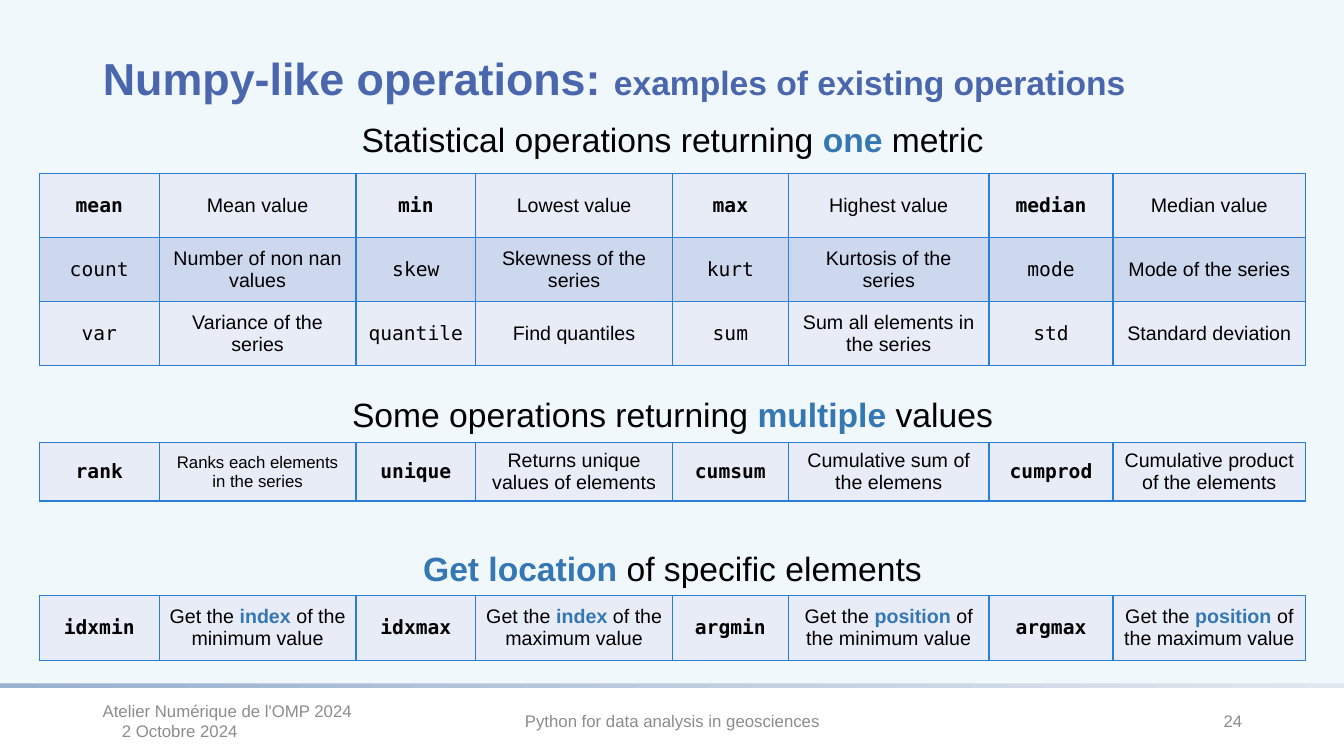
from pptx import Presentation
from pptx.dml.color import RGBColor
from pptx.enum.shapes import MSO_SHAPE
from pptx.enum.text import MSO_ANCHOR, PP_ALIGN
from pptx.oxml import parse_xml
from pptx.oxml.ns import nsdecls
from pptx.util import Inches, Pt

RECT = MSO_SHAPE.RECTANGLE
TOP, MIDDLE = MSO_ANCHOR.TOP, MSO_ANCHOR.MIDDLE
LEFT, CENTER, RIGHT = PP_ALIGN.LEFT, PP_ALIGN.CENTER, PP_ALIGN.RIGHT

COLORS = {
    "sky": "F1F8FC", "title": "4A66AC", "accent": "3477B2", "text": "000000",
    "muted": "8C8C8C", "border": "297FD5", "light": "E8ECF7", "dark": "CDD8EF",
    "start": "99B0CF", "end": "E1E7EF",
}
SANS, MONO = "Arial", "DejaVu Sans Mono"
WIDTH, HEIGHT = 13.33, 7.5
MARGIN, SPAN = 0.39, 12.56
COLS = [1.19, 1.95, 1.19, 1.95, 1.15, 1.99, 1.23, 1.91]
HEAD = 0.45
MARK = {"color": "accent", "bold": True}

STATS = [
    ["mean", "Mean value", "min", "Lowest value",
     "max", "Highest value", "median", "Median value"],
    ["count", "Number of non nan values", "skew", "Skewness of the series",
     "kurt", "Kurtosis of the series", "mode", "Mode of the series"],
    ["var", "Variance of the series", "quantile", "Find quantiles",
     "sum", "Sum all elements in the series", "std", "Standard deviation"],
]
MULTI = [
    ["rank", "Ranks each elements in the series",
     "unique", "Returns unique values of elements",
     "cumsum", "Cumulative sum of the elemens",
     "cumprod", "Cumulative product of the elements"],
]
PLACES = [
    ["idxmin", "Get the *index* of the minimum value",
     "idxmax", "Get the *index* of the maximum value",
     "argmin", "Get the *position* of the minimum value",
     "argmax", "Get the *position* of the maximum value"],
]
SMALL = {"Ranks each elements in the series": 12}


def rgb(name):
    """Return the named colour."""
    return RGBColor.from_string(COLORS[name])


def box(left, top, width, height):
    """Return a box in inches as lengths."""
    return [Inches(v) for v in (left, top, width, height)]


def style(font, size=14, face=SANS, color="text", bold=False):
    """Format one font."""
    font.size, font.name, font.bold = Pt(size), face, bold
    font.color.rgb = rgb(color)


def write(frame, text, align=CENTER, anchor=MIDDLE, lines=None, before=None,
          mark=MARK, indent=0, **look):
    """Fill a frame, giving parts between asterisks the mark format."""
    frame.word_wrap = True
    frame.vertical_anchor = anchor
    for row, line in enumerate(text.split("\n")):
        para = frame.add_paragraph() if row else frame.paragraphs[0]
        para.alignment, para.line_spacing = align, lines
        if before:
            para.space_before = Pt(before)
        if row and indent:
            para._p.get_or_add_pPr().set("marL", str(Inches(indent)))
        for spot, part in enumerate(line.split("*")):
            if part:
                run = para.add_run()
                run.text = part
                style(run.font, **(look | mark if spot % 2 else look))


def label(slide, area, text, **look):
    """Place a text box."""
    write(slide.shapes.add_textbox(*box(*area)).text_frame, text, **look)


def band(slide, area):
    """Place a borderless rectangle and return it."""
    shape = slide.shapes.add_shape(RECT, *box(*area))
    shape.shadow.inherit = False
    shape.line.fill.background()
    return shape


def backdrop(slide, area):
    """Draw the pale page and the gradient rule below it."""
    left, top, width, height = area
    rule = band(slide, (left, top + height, width, 0.05)).fill
    rule.gradient()
    rule.gradient_angle = 0
    for stop, name in zip(rule.gradient_stops, ("start", "end")):
        stop.color.rgb = rgb(name)
    page = band(slide, area).fill
    page.solid()
    page.fore_color.rgb = rgb("sky")


def heading(slide, area, text):
    """Format the title placeholder and bring it forward."""
    title = slide.shapes.title
    title.left, title.top, title.width, title.height = box(*area)
    write(title.text_frame, text, align=LEFT, lines=0.9, size=32,
          color="title", bold=True, mark={"size": 24})
    slide.shapes._spTree.append(title._element)


def outline(cell):
    """Draw the four borders of a cell."""
    props = cell._tc.get_or_add_tcPr()
    for side in "LRTB":
        props.append(parse_xml(
            f'<a:ln{side} {nsdecls("a")} w="{Pt(1)}"><a:solidFill>'
            f'<a:srgbClr val="{COLORS["border"]}"/></a:solidFill></a:ln{side}>'))


def grid(slide, area, rows):
    """Draw a table of function names and their meanings."""
    table = slide.shapes.add_table(len(rows), len(COLS), *box(*area)).table
    table.first_row = table.horz_banding = False
    for col, width in zip(table.columns, COLS):
        col.width = Inches(width)
    for r, row in enumerate(rows):
        table.rows[r].height = Inches(area[3] / len(rows))
        for c, text in enumerate(row):
            cell = table.cell(r, c)
            name = c % 2 == 0
            outline(cell)
            cell.fill.solid()
            cell.fill.fore_color.rgb = rgb("dark" if r % 2 else "light")
            write(cell.text_frame, text, face=MONO if name else SANS,
                  bold=name and r == 0, size=SMALL.get(text, 14))
            cell.vertical_anchor = MIDDLE


def section(slide, area, text, rows, gap=0):
    """Place a centred heading with its table below."""
    left, top, width, height = area
    label(slide, (left, top, width, HEAD), text, anchor=TOP, lines=0.8,
          before=10, size=24)
    grid(slide, (left, top + HEAD + gap, width, height), rows)


def footer(slide, area):
    """Place the event, the course name and the page number."""
    left, top, width, height = area
    side = 3
    look = {"size": 12, "color": "muted"}
    label(slide, (left, top, side, height),
          "Atelier Numérique de l'OMP 2024\n2 Octobre 2024",
          align=LEFT, indent=0.19, **look)
    label(slide, (left + side + 0.5, top, width - 2 * side - 1, height),
          "Python for data analysis in geosciences", **look)
    label(slide, (left + width - side, top, side, height), "24",
          align=RIGHT, **look)


def main():
    """Build and save the slide."""
    deck = Presentation()
    deck.slide_width, deck.slide_height = Inches(WIDTH), Inches(HEIGHT)
    slide = deck.slides.add_slide(deck.slide_layouts[5])
    backdrop(slide, (0, 0, WIDTH, 6.78))
    heading(slide, (0.92, 0.4, 11.5, 0.81),
            "Numpy-like operations: *examples of existing operations*")
    section(slide, (MARGIN, 1.21, SPAN, 1.91),
            "Statistical operations returning *one* metric", STATS, gap=0.06)
    section(slide, (MARGIN, 3.94, SPAN, 0.58),
            "Some operations returning *multiple* values", MULTI)
    section(slide, (MARGIN, 5.46, SPAN, 0.64),
            "*Get location* of specific elements", PLACES)
    footer(slide, (0.92, 6.95, 11.5, 0.4))
    deck.save("out.pptx")


if __name__ == "__main__":
    main()
